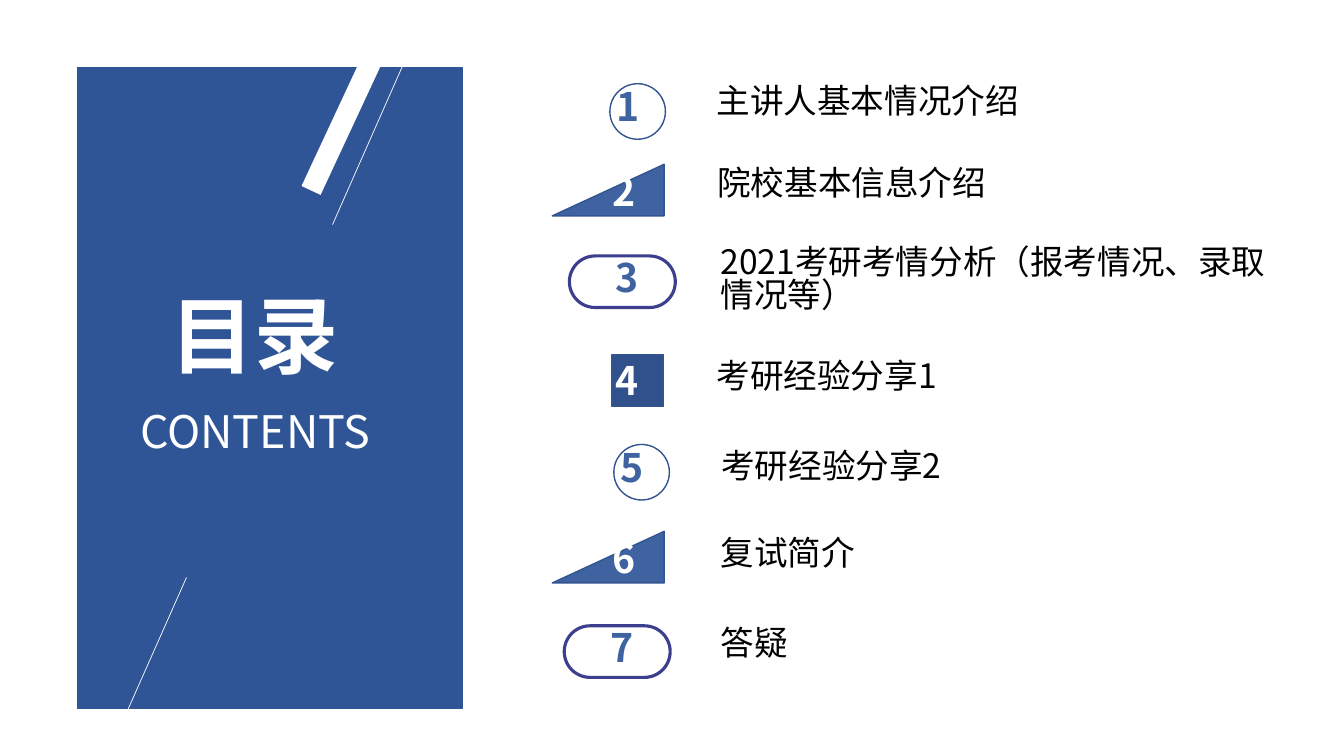
from dataclasses import dataclass
from lxml import etree
from pptx import Presentation
from pptx.dml.color import RGBColor
from pptx.enum.shapes import MSO_CONNECTOR, MSO_SHAPE
from pptx.enum.text import PP_ALIGN
from pptx.oxml.ns import qn
from pptx.util import Cm, Pt

RECT, OVAL = MSO_SHAPE.RECTANGLE, MSO_SHAPE.OVAL
TRIANGLE, PILL = MSO_SHAPE.RIGHT_TRIANGLE, MSO_SHAPE.ROUNDED_RECTANGLE
STRAIGHT = MSO_CONNECTOR.STRAIGHT
LEFT, JUSTIFY = PP_ALIGN.LEFT, PP_ALIGN.JUSTIFY


@dataclass(frozen=True)
class Theme:
    panel: str = "2F5597"
    outline: str = "325491"
    accent: str = "3F63A1"
    square: str = "31518C"
    pill: str = "3C3F8E"
    white: str = "FFFFFF"
    black: str = "000000"
    title: int = 60
    subtitle: int = 32
    number: int = 28
    label: int = 24
    cjk: str = "Noto Sans CJK SC"
    subtitle_font: str = "Noto Sans CJK JP"
    title_font: str = "Arial"


T = Theme()


@dataclass(frozen=True)
class Badge:
    """A marker style; dx and dy place its number relative to the shape."""
    shape: MSO_SHAPE
    width: float
    height: float
    dx: float
    dy: float
    fill: str | None
    line: str
    weight: float
    number_color: str


CIRCLE = Badge(OVAL, 1.4, 1.4, -0.08, 0.03, None, T.outline, 1, T.accent)
WEDGE = Badge(TRIANGLE, 2.82, 1.3, 1.27, 0.15, T.accent, T.outline, 1, T.white)
CAPSULE = Badge(PILL, 2.67, 1.3, 0.92, 0, None, T.pill, 2.25, T.accent)
SQUARE = Badge(RECT, 1.3, 1.3, -0.15, 0.1, T.square, T.outline, 1, T.white)


@dataclass(frozen=True)
class Entry:
    badge: Badge
    left: float
    top: float
    label: str
    label_left: float
    label_top: float
    label_width: float


ENTRIES = [
    Entry(CIRCLE, 15.37, 2.11, "主讲人基本情况介绍", 17.81, 2.06, 8.61),
    Entry(WEDGE, 13.92, 4.14, "院校基本信息介绍", 17.83, 4.11, 14.22),
    Entry(CAPSULE, 14.35, 6.45, "2021考研考情分析（报考情况、录取情况等）", 17.91, 6.1, 14.27),
    Entry(SQUARE, 15.42, 8.94, "考研经验分享1", 17.81, 8.97, 13.11),
    Entry(CIRCLE, 15.47, 11.2, "考研经验分享2", 17.93, 11.25, 13.11),
    Entry(WEDGE, 13.92, 13.39, "复试简介", 17.91, 13.44, 13.11),
    Entry(CAPSULE, 14.22, 15.77, "答疑", 17.91, 15.7, 11.68),
]


def add_text(slide, text: str, left: float, top: float, width: float, height: float, *,
             size: int, color: str, font: str = T.cjk, bold: bool = False,
             align: PP_ALIGN = LEFT) -> None:
    tf = slide.shapes.add_textbox(Cm(left), Cm(top), Cm(width), Cm(height)).text_frame
    tf.word_wrap = True
    p = tf.paragraphs[0]
    p.alignment = align
    p.line_spacing = 0.84
    r = p.add_run()
    r.text = text
    r.font.name, r.font.size, r.font.bold = font, Pt(size), bold
    r.font.color.rgb = RGBColor.from_string(color)
    east_asian = T.cjk if font == T.title_font else font
    etree.SubElement(r.font._element, qn("a:ea"), typeface=east_asian)


def add_block(slide, shape: MSO_SHAPE, left: float, top: float, width: float, height: float, *,
              fill: str | None = None, line: str | None = None, weight: float = 1):
    s = slide.shapes.add_shape(shape, Cm(left), Cm(top), Cm(width), Cm(height))
    s.shadow.inherit = False
    if fill:
        s.fill.solid()
        s.fill.fore_color.rgb = RGBColor.from_string(fill)
    else:
        s.fill.background()
    if line:
        s.line.color.rgb = RGBColor.from_string(line)
        s.line.width = Pt(weight)
    else:
        s.line.fill.background()
    return s


def add_line(slide, x1: float, y1: float, x2: float, y2: float) -> None:
    c = slide.shapes.add_connector(STRAIGHT, Cm(x1), Cm(y1), Cm(x2), Cm(y2))
    c.line.color.rgb = RGBColor.from_string(T.white)
    c.line.width = Pt(0.5)
    etree.SubElement(c._element.spPr, qn("a:effectLst"))


def add_panel(slide) -> None:
    add_block(slide, RECT, 1.96, 1.7, 9.68, 16.15, fill=T.panel, line=T.outline)
    add_text(slide, "目录", 4.06, 7.44, 5.46, 2.82, size=T.title, color=T.white,
             font=T.title_font, bold=True, align=JUSTIFY)
    add_text(slide, "CONTENTS", 3.28, 10.26, 7.09, 1.63, size=T.subtitle, color=T.white,
             font=T.subtitle_font, align=JUSTIFY)
    bar = add_block(slide, RECT, 8.38, 1.17, 0.53, 3.81, fill=T.white)
    bar.rotation = 25
    add_line(slide, 8.38, 5.66, 10.34, 1.22)
    add_line(slide, 2.74, 18.97, 4.7, 14.55)


def add_entry(slide, number: int, entry: Entry) -> None:
    b = entry.badge
    s = add_block(slide, b.shape, entry.left, entry.top, b.width, b.height,
                  fill=b.fill, line=b.line, weight=b.weight)
    if b.shape == TRIANGLE:
        s._element.spPr.xfrm.set("flipH", "1")
    elif b.shape == PILL:
        s.adjustments[0] = 0.5
    add_text(slide, str(number), entry.left + b.dx, entry.top + b.dy, 1.55, 1.45,
             size=T.number, color=b.number_color, bold=True, align=JUSTIFY)
    add_text(slide, entry.label, entry.label_left, entry.label_top, entry.label_width, 1.27,
             size=T.label, color=T.black)


def main() -> None:
    prs = Presentation()
    prs.slide_width, prs.slide_height = Cm(33.87), Cm(19.05)
    slide = prs.slides.add_slide(prs.slide_layouts[6])
    add_panel(slide)
    for number, entry in enumerate(ENTRIES, start=1):
        add_entry(slide, number, entry)
    prs.save("out.pptx")


if __name__ == "__main__":
    main()
